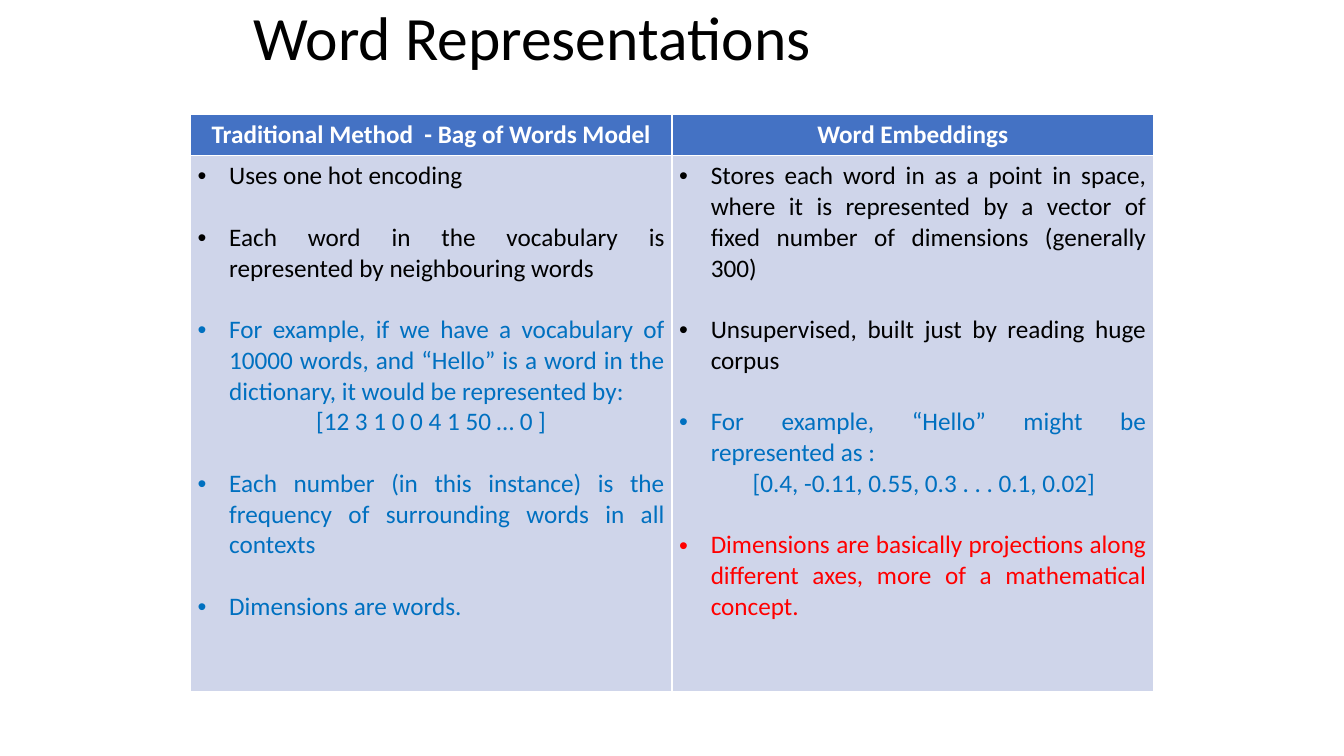
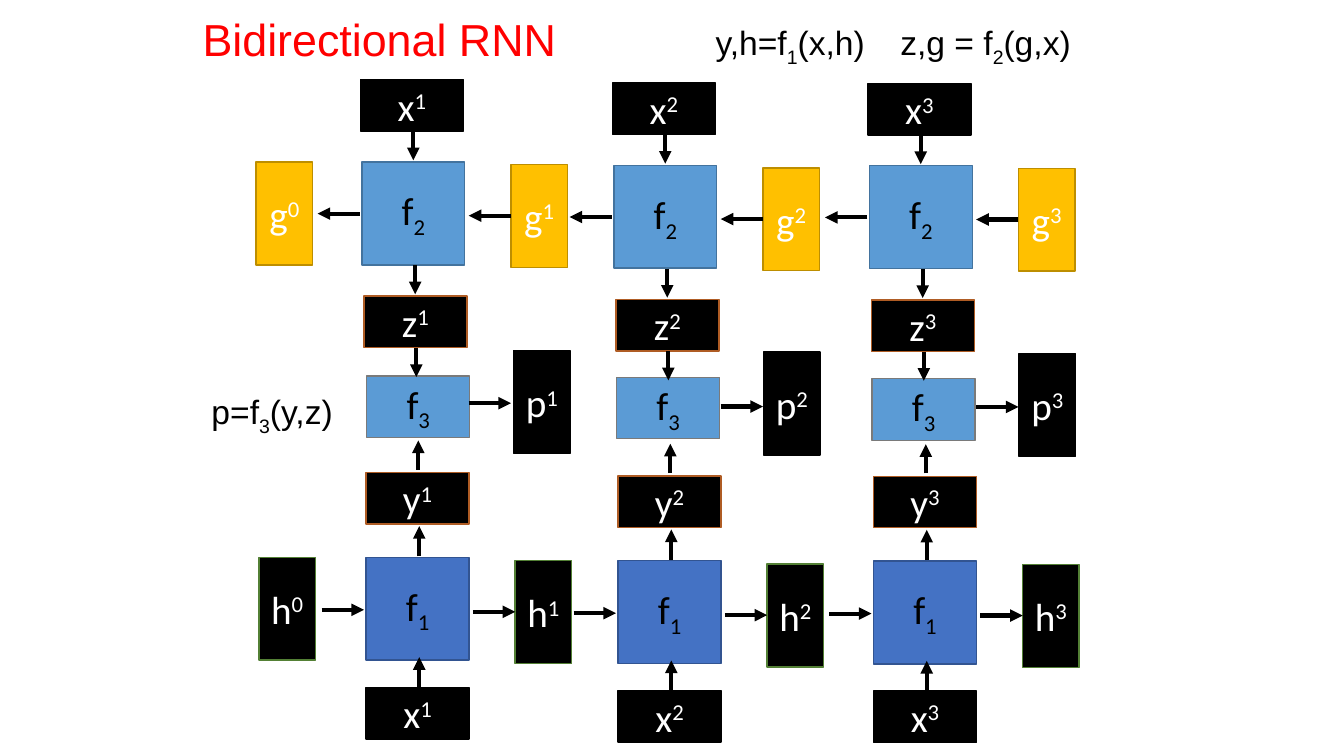
from lxml import etree
from pptx import Presentation
from pptx.dml.color import RGBColor
from pptx.enum.shapes import MSO_CONNECTOR, MSO_SHAPE
from pptx.enum.text import MSO_ANCHOR, MSO_AUTO_SIZE, PP_ALIGN
from pptx.oxml import parse_xml
from pptx.oxml.ns import qn
from pptx.util import Pt

rgb = RGBColor.from_string
BLACK, WHITE, RED, TEXT_BLUE = "000000", "FFFFFF", "FF0000", "0070C0"
BLUE, SKY, GOLD, PALE = "4472C4", "5B9BD5", "FFC000", "CFD5EA"
ORANGE_EDGE, GREEN_EDGE = "AF5C24", "538035"
SUPER, SUB = 30000, -25000
A_NS = "http://schemas.openxmlformats.org/drawingml/2006/main"

deck = Presentation()
deck.slide_width, deck.slide_height = Pt(960), Pt(540)


def titled_slide(text, left, top, width, height, font, size, color, spacing):
    slide = deck.slides.add_slide(deck.slide_layouts[5])
    title = slide.shapes.title
    title.left, title.top, title.width, title.height = map(Pt, (left, top, width, height))
    frame = title.text_frame
    frame.text = text
    frame.auto_size = MSO_AUTO_SIZE.NONE
    frame.vertical_anchor = MSO_ANCHOR.MIDDLE
    line = frame.paragraphs[0]
    line.alignment, line.line_spacing = PP_ALIGN.LEFT, spacing
    style = line.runs[0].font
    style.name, style.size, style.color.rgb = font, Pt(size), rgb(color)
    return slide


def write_formula(paragraph, parts, font, size, color):
    """Write (text, baseline) parts as runs of one paragraph."""
    for text, baseline in parts:
        run = paragraph.add_run()
        run.text = text
        run.font.name, run.font.size, run.font.color.rgb = font, Pt(size), rgb(color)
        if baseline:
            run.font._element.set("baseline", str(baseline))


# Slide 1: comparison table
words_slide = titled_slide("Word Representations", 174, -4, 611, 66,
                           "Calibri", 44, BLACK, 0.9)
comparison = words_slide.shapes.add_table(2, 2, Pt(136), Pt(82), Pt(688), Pt(412)).table
comparison.horz_banding = False
comparison.rows[0].height, comparison.rows[1].height = Pt(29), Pt(383)

# Each point: text, colour, kind
methods = [
    ("Traditional Method  - Bag of Words Model", [
        ("Uses one hot encoding", BLACK, "first"),
        ("Each word in the vocabulary is represented by neighbouring words", BLACK, "point"),
        ("For example, if we have a vocabulary of 10000 words, and “Hello” is a word "
         "in the dictionary, it would be represented by:", TEXT_BLUE, "point"),
        ("[12 3 1 0 0 4 1 50 … 0 ]", TEXT_BLUE, "vector"),
        ("Each number (in this instance) is the frequency of surrounding words in all "
         "contexts", TEXT_BLUE, "point"),
        ("Dimensions are words.", TEXT_BLUE, "point")], 0),
    ("Word Embeddings", [
        ("Stores each word in as a point in space, where it is represented by a vector "
         "of fixed number of dimensions (generally 300)", BLACK, "first"),
        ("Unsupervised, built just by reading huge corpus", BLACK, "point"),
        ("For example, “Hello” might be represented as :", TEXT_BLUE, "point"),
        ("[0.4, -0.11, 0.55, 0.3 . . . 0.1, 0.02]", TEXT_BLUE, "vector"),
        ("Dimensions are basically projections along different axes, more of a "
         "mathematical concept.", RED, "point")], 16),
]
for column, (heading, points, vector_indent) in enumerate(methods):
    head, body = comparison.cell(0, column), comparison.cell(1, column)
    for cell, fill in ((head, BLUE), (body, PALE)):
        cell.margin_left = cell.margin_right = Pt(5.2)
        cell.margin_top = cell.margin_bottom = Pt(3.6)
        cell.fill.solid()
        cell.fill.fore_color.rgb = rgb(fill)
        for position, side in enumerate(("lnL", "lnR", "lnT", "lnB")):
            cell._tc.get_or_add_tcPr().insert(position, parse_xml(
                f'<a:{side} xmlns:a="{A_NS}" w="12700"><a:solidFill>'
                f'<a:srgbClr val="{WHITE}"/></a:solidFill></a:{side}>'))

    head.text_frame.text = heading
    body.text_frame.text = "\n".join(text for text, _, _ in points)
    head.text_frame.paragraphs[0].alignment = PP_ALIGN.CENTER
    lines = [(head.text_frame.paragraphs[0], WHITE)]
    for paragraph, (_, color, kind) in zip(body.text_frame.paragraphs, points):
        lines.append((paragraph, color))
        properties = paragraph._p.get_or_add_pPr()
        if kind == "vector":
            paragraph.alignment = PP_ALIGN.CENTER
            properties.set("marL", str(Pt(vector_indent)))
            continue
        paragraph.alignment = PP_ALIGN.JUSTIFY
        paragraph.space_before = Pt(0 if kind == "first" else 22)
        properties.set("marL", str(Pt(22.5)))
        properties.set("indent", str(-Pt(22.5)))
        etree.SubElement(properties, qn("a:buFont")).set("typeface", "Arial")
        etree.SubElement(properties, qn("a:buChar")).set("char", "•")
    for paragraph, color in lines:
        style = paragraph.runs[0].font
        style.name, style.size, style.color.rgb = "Calibri", Pt(18), rgb(color)
        style.bold = color == WHITE

# Slide 2: network diagram
network = titled_slide("Bidirectional RNN", 137.5, 4.3, 272, 46, "Arial", 32, RED, 1.0)

# Offset of each time step from the first; the output row is set a little tighter
STEPS = [(0, 0), (180, 2.4), (362.5, 2.7)]
OUTPUT_STEPS = [(0, 0), (178.5, 1), (361, 2)]
WIDE, NARROW, LOW = 73.5, 40.3, 36.8

# Letter, index (None counts the steps), left, top, width, height, fill, edge, steps
nodes = [
    ("f", 1, 261.5, 398, WIDE, WIDE, BLUE, "325491", STEPS),
    ("h", 0, 185, 398, NARROW, WIDE, BLACK, GREEN_EDGE, STEPS[:1]),
    ("h", None, 368, 400.5, NARROW, WIDE, BLACK, GREEN_EDGE, STEPS),
    ("y", None, 261.5, 337.5, WIDE, LOW, BLACK, ORANGE_EDGE, STEPS),
    ("x", None, 261.5, 491, WIDE, LOW, BLACK, BLACK, STEPS),
    ("f", 2, 258.5, 115.7, WIDE, WIDE, SKY, "43739E", STEPS),
    ("g", 0, 183, 115.7, NARROW, WIDE, GOLD, "BD8E00", STEPS[:1]),
    ("g", None, 365, 117.5, NARROW, WIDE, GOLD, "BD8E00", STEPS),
    ("x", None, 257.5, 56.9, WIDE, LOW, BLACK, BLACK, STEPS),
    ("z", None, 260, 211.5, WIDE, LOW, BLACK, ORANGE_EDGE, STEPS),
    ("f", 3, 262, 268.5, WIDE, 44, SKY, "7A7A7A", OUTPUT_STEPS),
    ("p", None, 367, 250.5, NARROW, WIDE, BLACK, BLACK, OUTPUT_STEPS),
]
for letter, index, left, top, width, height, fill, edge, steps in nodes:
    for step, (dx, dy) in enumerate(steps, 1):
        node = network.shapes.add_shape(MSO_SHAPE.RECTANGLE, Pt(left + dx), Pt(top + dy),
                                        Pt(width), Pt(height))
        node.shadow.inherit = False
        node.fill.solid()
        node.fill.fore_color.rgb = rgb(fill)
        node.line.color.rgb, node.line.width = rgb(edge), Pt(1)
        node.text_frame.vertical_anchor = MSO_ANCHOR.MIDDLE
        label = node.text_frame.paragraphs[0]
        label.alignment = PP_ALIGN.CENTER
        number = str(step if index is None else index)
        is_function = letter == "f"
        write_formula(label, [(letter, 0), (number, SUB if is_function else SUPER)],
                      "Calibri", 28, BLACK if is_function else WHITE)

# Arrows of the first step: from x, from y, to x, to y
arrows = [
    (295.2, 93.6, 295.2, 114.5),    # x to f2
    (257, 152.6, 226.8, 152.6),     # f2 to g
    (365, 154.1, 334.8, 154.1),     # g to f2
    (296.6, 189.4, 296.6, 210.2),   # f2 to z
    (297.4, 248.4, 297.4, 269.3),   # z to f3
    (334.8, 288, 365, 288),         # f3 to p
    (298.8, 335.5, 298.8, 314.6),   # y to f3
    (299.5, 397.4, 299.5, 375.8),   # f1 to y
    (229.7, 435.6, 260, 435.6),     # h to f1
    (337.7, 437, 368, 437),         # f1 to h
    (299.5, 491, 299.5, 469.4),     # x to f1
]
for x1, y1, x2, y2 in arrows:
    for dx, dy in STEPS:
        arrow = network.shapes.add_connector(MSO_CONNECTOR.STRAIGHT, Pt(x1 + dx), Pt(y1 + dy),
                                             Pt(x2 + dx), Pt(y2 + dy))
        arrow.line.color.rgb, arrow.line.width = rgb(BLACK), Pt(3)
        etree.SubElement(arrow.line._get_or_add_ln(), qn("a:tailEnd")).set("type", "triangle")
        etree.SubElement(arrow._element.spPr, qn("a:effectLst"))

# Formulas
formulas = [
    (144, 276, 103, [("p=f", 0), ("3", SUB), ("(y,z)", 0)]),
    (504, 12.2, 123, [("y,h=f", 0), ("1", SUB), ("(x,h)", 0)]),
    (636, 12.2, 139, [("z,g = f", 0), ("2", SUB), ("(g,x)", 0)]),
]
for left, top, width, parts in formulas:
    formula = network.shapes.add_textbox(Pt(left), Pt(top), Pt(width), Pt(36.5))
    formula.text_frame.word_wrap = False
    write_formula(formula.text_frame.paragraphs[0], parts, "Arial", 24, BLACK)

deck.save("out.pptx")
